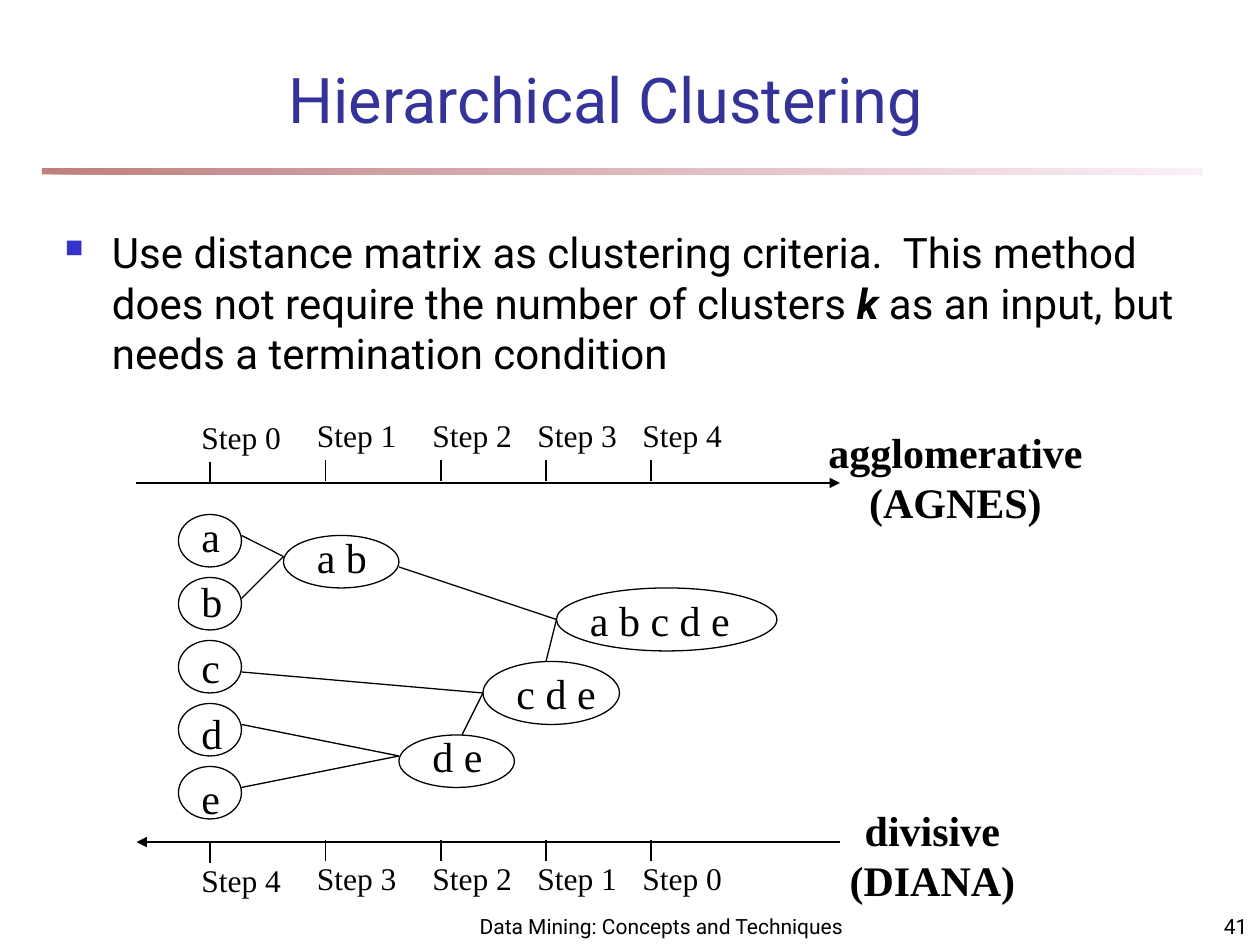
from dataclasses import dataclass

from lxml import etree
from pptx import Presentation
from pptx import util as u
from pptx.dml.color import RGBColor
from pptx.enum import shapes, text
from pptx.oxml import ns


@dataclass(frozen=True)
class Theme:
    sans: str = "Roboto"
    serif: str = "Times New Roman"
    ink: str = "000000"
    title: str = "333399"
    bullet: str = "3333CC"
    rule_start: str = "800000"
    rule_end: str = "FAE2F6"
    title_size: int = 36
    body_size: int = 24
    step_size: int = 18
    footer_size: int = 12
    thin: float = 0.75
    thick: float = 1.5


THEME = Theme()
ALIGN = text.PP_ALIGN
ANCHOR = text.MSO_ANCHOR
GRID = 25.4 / 120  # the slide is 120 x 90 grid units; positions below use them

TITLE = "Hierarchical Clustering"
BODY = [
    ("Use distance matrix as clustering criteria.  This method does not require "
     "the number of clusters ", False),
    ("k", True),
    (" as an input, but needs a termination condition", False),
]
FOOTER = "Data Mining: Concepts and Techniques"
PAGE_NUMBER = "41"

STEP_X = [20, 31, 42, 52, 62]
AXIS_X = (13, 80)
# axis y, tick top, label top, step numbers, arrowhead end
AXES = [
    (46, 43.8, 39, [0, 1, 2, 3, 4], "tailEnd"),
    (80.2, 80, 81.2, [4, 3, 2, 1, 0], "headEnd"),
]
METHODS = [
    (["agglomerative", "(AGNES)"], (77, 40, 28, 10.8)),
    (["divisive", "(DIANA)"], (78.8, 76, 20, 10.8)),
]
LEAVES = ["a", "b", "c", "d", "e"]
# label, ellipse box, label position, label width
CLUSTERS = [
    ("a b", (27, 51, 11, 5), (29, 50), 7.2),
    ("d e", (38, 70, 11, 5), (40, 69), 7.2),
    ("c d e", (46, 63, 13, 6), (48, 63), 10),
    ("a b c d e", (53, 56, 21, 6), (55, 56), 15.7),
]
# meeting point and the points it joins
MERGES = [
    ((27, 53), [(23, 51), (23, 57)]),
    ((38, 72), [(23, 69), (23, 75)]),
    ((46, 66), [(23, 64), (44, 70)]),
    ((53, 59), [(38, 54), (52, 63)]),
]


def lengths(values):
    """Grid units to slide lengths."""
    return [u.Cm(value * GRID) for value in values]


def style(font, face, size, color=THEME.ink, bold=False):
    font.name, font.size, font.bold = face, u.Pt(size), bold
    font.color.rgb = RGBColor.from_string(color)


def add_box(page, area, lines, face, size, color=THEME.ink, bold=False,
            align=ALIGN.LEFT, anchor=ANCHOR.TOP, wrap=True):
    frame = page.shapes.add_textbox(*lengths(area)).text_frame
    frame.word_wrap = wrap
    frame.vertical_anchor = anchor
    frame.text = "\n".join(lines)
    for para in frame.paragraphs:
        para.alignment = align
        style(para.font, face, size, color, bold)


def add_line(page, start, end, width=THEME.thin, arrow=None):
    line = page.shapes.add_connector(
        shapes.MSO_CONNECTOR.STRAIGHT, *lengths(start + end))
    line.line.color.rgb = RGBColor.from_string(THEME.ink)
    line.line.width = u.Pt(width)
    if arrow:
        etree.SubElement(line.line._get_or_add_ln(), ns.qn("a:" + arrow), type="triangle")
    etree.SubElement(line._element.spPr, ns.qn("a:effectLst"))


def add_ellipse(page, area):
    ellipse = page.shapes.add_shape(shapes.MSO_SHAPE.OVAL, *lengths(area))
    ellipse.shadow.inherit = False
    ellipse.fill.background()
    ellipse.line.color.rgb = RGBColor.from_string(THEME.ink)
    ellipse.line.width = u.Pt(THEME.thin)


def add_rule(page):
    rule = page.shapes.add_shape(
        shapes.MSO_SHAPE.RECTANGLE, *lengths((4, 16, 110.4, 0.6)))
    rule.shadow.inherit = False
    rule.line.fill.background()
    rule.fill.gradient()
    rule.fill.gradient_angle = 0
    ends = [(0, THEME.rule_start), (1, THEME.rule_end)]
    for stop, (position, color) in zip(rule.fill.gradient_stops, ends):
        stop.position = position
        stop.color.rgb = RGBColor.from_string(color)
    for color in rule._element.spPr.iter(ns.qn("a:srgbClr")):
        etree.SubElement(color, ns.qn("a:alpha"), val="50000")


def add_body(page):
    frame = page.shapes.add_textbox(*lengths((5, 21, 109, 64))).text_frame
    frame.word_wrap = True
    para = frame.paragraphs[0]
    props = para._p.get_or_add_pPr()
    indent = u.Cm(0.95)
    props.set("marL", str(indent))
    props.set("indent", str(-indent))
    bullet_color = etree.SubElement(props, ns.qn("a:buClr"))
    etree.SubElement(bullet_color, ns.qn("a:srgbClr"), val=THEME.bullet)
    etree.SubElement(props, ns.qn("a:buSzPct"), val="60000")
    etree.SubElement(props, ns.qn("a:buChar"), char="■")
    style(para.font, THEME.sans, THEME.body_size)
    for words, strong in BODY:
        span = para.add_run()
        span.text = words
        style(span.font, THEME.sans, THEME.body_size, bold=strong)
        span.font.italic = strong


def add_axis(page, y, tick_top, label_top, steps, arrow):
    left, right = AXIS_X
    add_line(page, (left, y), (right, y), THEME.thick, arrow)
    for index, (x, step) in enumerate(zip(STEP_X, steps)):
        drop = 0.2 if index == 0 else 0
        top = tick_top + drop
        add_line(page, (x, top), (x, top + 2))
        add_box(page, (x - 2, label_top + drop, 10, 4.8), [f"Step {step}"],
                THEME.serif, THEME.step_size)


def add_clusters(page):
    leaves = [(name, (17, 49 + 6 * row, 6, 5), (18, 48 + 6.25 * row), 4.2)
              for row, name in enumerate(LEAVES)]
    for name, area, corner, width in leaves + CLUSTERS:
        add_box(page, corner + (width, 6), [name], THEME.serif, THEME.body_size,
                wrap=False)
        add_ellipse(page, area)
    for meeting, sources in MERGES:
        for source in sources:
            add_line(page, source, meeting)


def main():
    deck = Presentation()
    deck.slide_width, deck.slide_height = u.Cm(25.4), u.Cm(19.05)
    page = deck.slides.add_slide(deck.slide_layouts[6])
    add_rule(page)
    add_box(page, (44, 85, 38, 5), [FOOTER], THEME.sans, THEME.footer_size,
            align=ALIGN.CENTER, anchor=ANCHOR.BOTTOM)
    add_box(page, (95, 85, 25, 5), [PAGE_NUMBER], THEME.sans, THEME.footer_size,
            align=ALIGN.RIGHT, anchor=ANCHOR.BOTTOM)
    add_box(page, (9.8, 6.5, 95.8, 5.8), [TITLE], THEME.sans, THEME.title_size,
            THEME.title, align=ALIGN.CENTER, anchor=ANCHOR.MIDDLE)
    add_body(page)
    for axis in AXES:
        add_axis(page, *axis)
    add_clusters(page)
    for lines, area in METHODS:
        add_box(page, area, lines, THEME.serif, THEME.body_size, bold=True,
                align=ALIGN.CENTER, wrap=False)
    deck.save("out.pptx")


if __name__ == "__main__":
    main()
